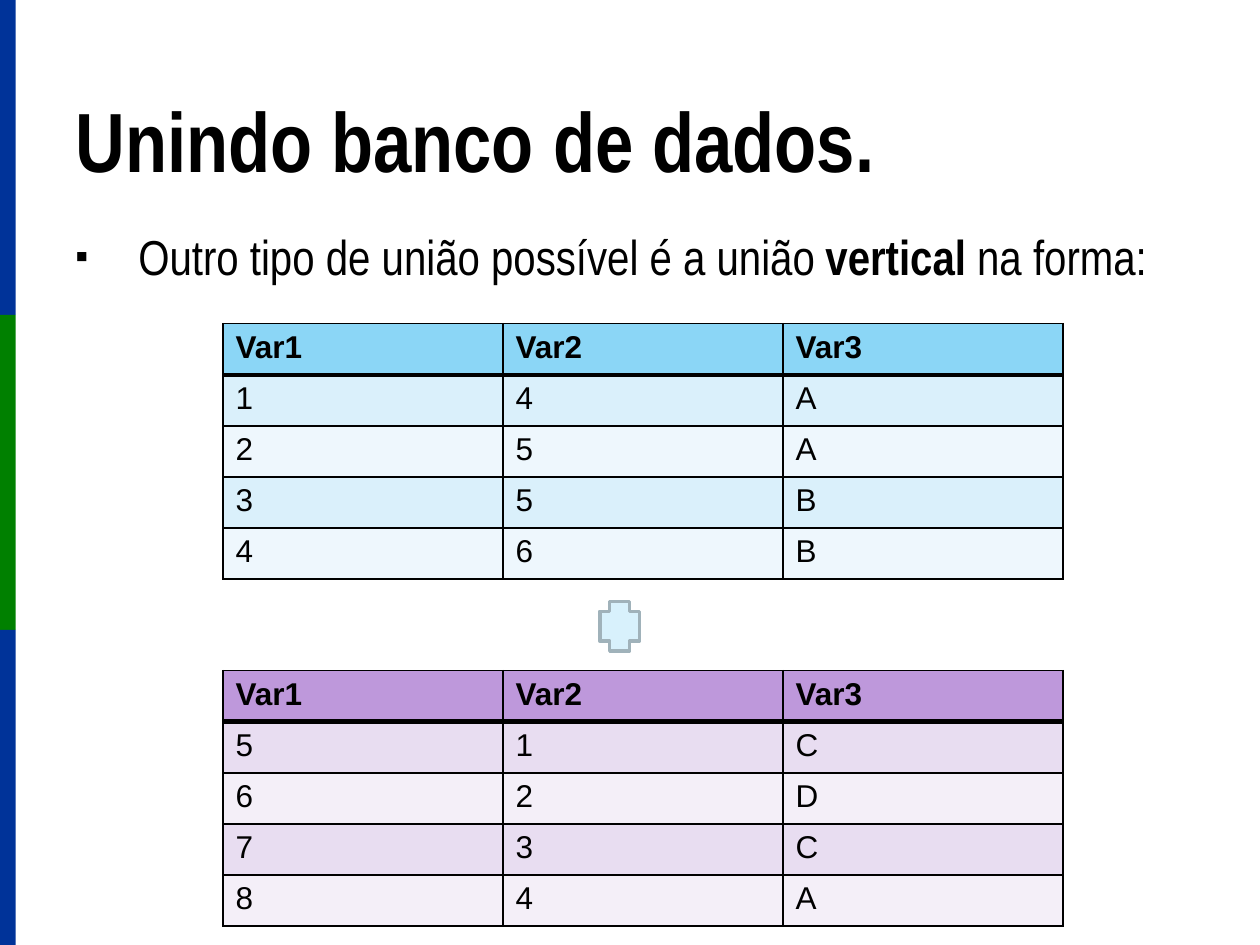
from dataclasses import dataclass

from lxml import etree
from pptx import Presentation
from pptx.dml.color import RGBColor
from pptx.enum.shapes import MSO_SHAPE
from pptx.enum.text import MSO_ANCHOR
from pptx.oxml.ns import qn
from pptx.util import Pt

RECT, CROSS = MSO_SHAPE.RECTANGLE, MSO_SHAPE.CROSS
TOP, BOTTOM = MSO_ANCHOR.TOP, MSO_ANCHOR.BOTTOM


@dataclass(frozen=True)
class Theme:
    ink: str = "000000"
    bars: tuple = ("003399", "008000", "003399")
    plus: str = "D8F1FC"
    edge: str = "A0B2BA"
    blue: tuple = ("8BD6F6", "DAF0FB", "EEF7FD")
    purple: tuple = ("BE98DB", "E8DDF1", "F4EFF8")
    narrow: str = "Arial Narrow"
    sans: str = "Arial"
    title: int = 48
    body: int = 28
    cell: int = 18


THEME = Theme()
WIDTH, HEIGHT = 720, 540
HEAD = ("Var1", "Var2", "Var3")
FIRST = (HEAD, "14A", "25A", "35B", "46B")
SECOND = (HEAD, "51C", "62D", "73C", "84A")


def paint(fill, color):
    fill.solid()
    fill.fore_color.rgb = RGBColor.from_string(color)


def add_run(par, text, name, size, bold=False):
    run = par.add_run()
    run.text = text
    style = {"name": name, "size": Pt(size), "bold": bold}
    for key, value in style.items():
        setattr(run.font, key, value)
    run.font.color.rgb = RGBColor.from_string(THEME.ink)


def add_shape(slide, kind, box, color, edge=None):
    shape = slide.shapes.add_shape(kind, *map(Pt, box))
    shape.shadow.inherit = False
    paint(shape.fill, color)
    if edge:
        paint(shape.line.fill, edge)
        shape.line.width = Pt(2)
    else:
        shape.line.fill.background()


def add_text(slide, box, anchor, size, runs):
    """Add a one-paragraph box from (text, bold) pairs; return the paragraph."""
    frame = slide.shapes.add_textbox(*map(Pt, box)).text_frame
    frame.word_wrap = True
    frame.vertical_anchor = anchor
    par = frame.paragraphs[0]
    for text, bold in runs:
        add_run(par, text, THEME.narrow, size, bold)
    return par


def add_bullet(par):
    par.space_before = Pt(5.6)
    props = par._p.get_or_add_pPr()
    props.set("marL", str(Pt(36)))
    props.set("indent", str(-Pt(36)))
    color = etree.SubElement(props, qn("a:buClr"))
    etree.SubElement(color, qn("a:srgbClr"), val=THEME.ink)
    etree.SubElement(props, qn("a:buSzPct"), val="75000")
    etree.SubElement(props, qn("a:buFont"), typeface=THEME.sans)
    etree.SubElement(props, qn("a:buChar"), char="▪")


def add_borders(cell, row):
    """Draw thin lines on all sides, with a thick one under the header."""
    props = cell._tc.get_or_add_tcPr()
    widths = {"L": 1, "R": 1, "T": 3 if row == 1 else 1, "B": 3 if row == 0 else 1}
    for side, width in widths.items():
        line = etree.SubElement(props, qn("a:ln" + side), w=str(Pt(width)))
        fill = etree.SubElement(line, qn("a:solidFill"))
        etree.SubElement(fill, qn("a:srgbClr"), val=THEME.ink)


def add_table(slide, top, data, colors):
    box = map(Pt, (127.5, top, 480, 146))
    table = slide.shapes.add_table(len(data), len(HEAD), *box).table
    header, odd, even = colors
    for r, values in enumerate(data):
        color = header if r == 0 else odd if r % 2 else even
        for c, value in enumerate(values):
            cell = table.cell(r, c)
            add_borders(cell, r)
            paint(cell.fill, color)
            par = cell.text_frame.paragraphs[0]
            add_run(par, value, THEME.sans, THEME.cell, r == 0)


def main():
    deck = Presentation()
    deck.slide_width, deck.slide_height = Pt(WIDTH), Pt(HEIGHT)
    slide = deck.slides.add_slide(deck.slide_layouts[6])

    step = HEIGHT / len(THEME.bars)
    for i, color in enumerate(THEME.bars):
        add_shape(slide, RECT, (0, i * step, 9, step), color)

    add_text(slide, (36, 21.6, 517, 90), BOTTOM, THEME.title,
             [("Unindo banco de dados.", True)])
    par = add_text(slide, (36, 126, 648, 356.4), TOP, THEME.body,
                   [("Outro tipo de união possível é a união ", False),
                    ("vertical ", True), ("na forma:", False)])
    add_bullet(par)

    add_table(slide, 185, FIRST, THEME.blue)
    add_table(slide, 383.2, SECOND, THEME.purple)
    add_shape(slide, CROSS, (342.7, 343.7, 22.7, 28.3), THEME.plus, THEME.edge)
    deck.save("out.pptx")


if __name__ == "__main__":
    main()
